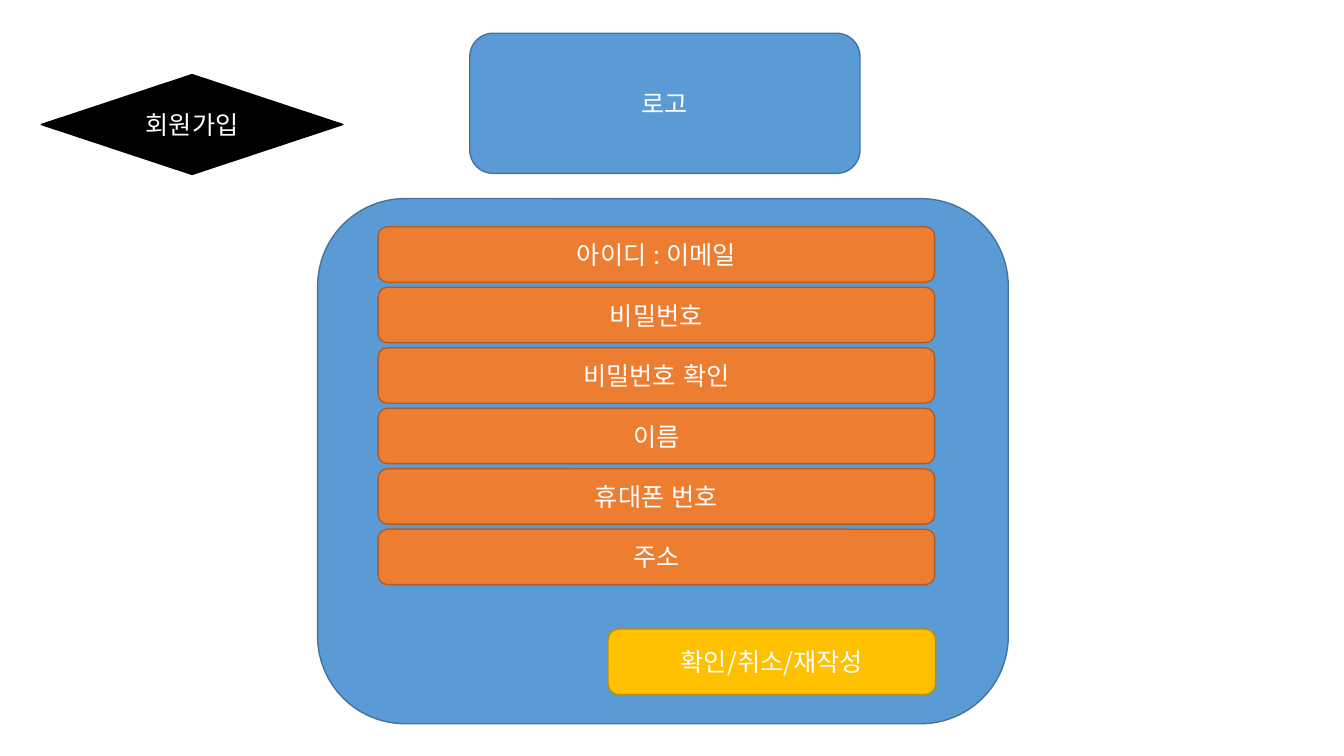
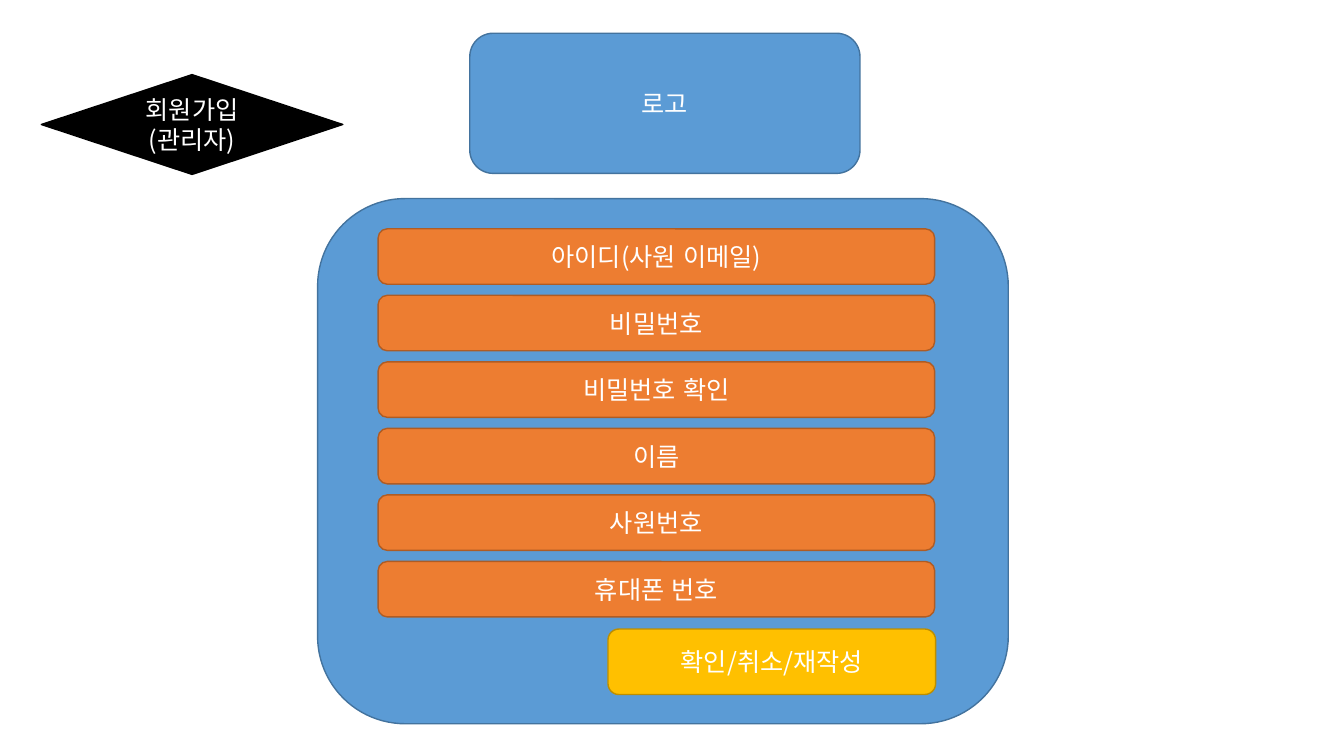
from lxml.etree import SubElement
from pptx import Presentation
from pptx.dml.color import RGBColor
from pptx.enum.lang import MSO_LANGUAGE_ID
from pptx.enum.shapes import MSO_SHAPE
from pptx.enum.text import MSO_ANCHOR, PP_ALIGN
from pptx.oxml.ns import qn
from pptx.util import Pt

EMU_PER_PX = 9144
FONT = "Noto Sans CJK KR"
WHITE = "FFFFFF"
BLACK = ("000000", "000000")
BLUE = ("5B9BD5", "43739E")
ORANGE = ("ED7D31", "AF5C24")
YELLOW = ("FFC000", "BD8E00")

SIGN_UP_FIELDS = ["아이디 : 이메일", "비밀번호", "비밀번호 확인", "이름", "휴대폰 번호", "주소"]
ADMIN_FIELDS = ["아이디(사원 이메일)", "비밀번호", "비밀번호 확인", "이름", "사원번호", "휴대폰 번호"]


def px(length):
    return length * EMU_PER_PX


def color(value):
    return RGBColor.from_string(value)


def add_label(shape, text):
    frame = shape.text_frame
    frame.word_wrap = True
    frame.vertical_anchor = MSO_ANCHOR.MIDDLE
    paragraph = frame.paragraphs[0]
    paragraph.alignment = PP_ALIGN.CENTER
    run = paragraph.add_run()
    run.text = text
    run.font.size = Pt(18)
    run.font.name = FONT
    run.font.color.rgb = color(WHITE)
    run.font.language_id = MSO_LANGUAGE_ID.KOREAN
    SubElement(run._r.get_or_add_rPr(), qn("a:ea"), typeface=FONT)


def add_box(slide, bounds, colors, text="", preset=MSO_SHAPE.ROUNDED_RECTANGLE):
    shape = slide.shapes.add_shape(preset, *map(px, bounds))
    shape.shadow.inherit = False
    fill, line = colors
    shape.fill.solid()
    shape.fill.fore_color.rgb = color(fill)
    shape.line.color.rgb = color(line)
    shape.line.width = Pt(1)
    if text:
        add_label(shape, text)


def add_fields(slide, labels, top, pitch):
    for index, label in enumerate(labels):
        add_box(slide, (375, top + index * pitch, 552, 55), ORANGE, label)


def add_form_slide(presentation, title, labels, top, pitch):
    slide = presentation.slides.add_slide(presentation.slide_layouts[6])
    add_box(slide, (41, 74, 299, 99), BLACK, title, MSO_SHAPE.FLOWCHART_DECISION)
    add_box(slide, (466, 33, 387, 139), BLUE, "로고")
    add_box(slide, (315, 197, 685, 521), BLUE)
    add_fields(slide, labels, top, pitch)
    add_box(slide, (603, 624, 325, 65), YELLOW, "확인/취소/재작성")


def main():
    presentation = Presentation()
    presentation.slide_width = px(1333)
    presentation.slide_height = px(750)
    add_form_slide(presentation, "회원가입", SIGN_UP_FIELDS, 225, 60)
    add_form_slide(presentation, "회원가입(관리자)", ADMIN_FIELDS, 227, 66)
    presentation.save("out.pptx")


if __name__ == "__main__":
    main()
